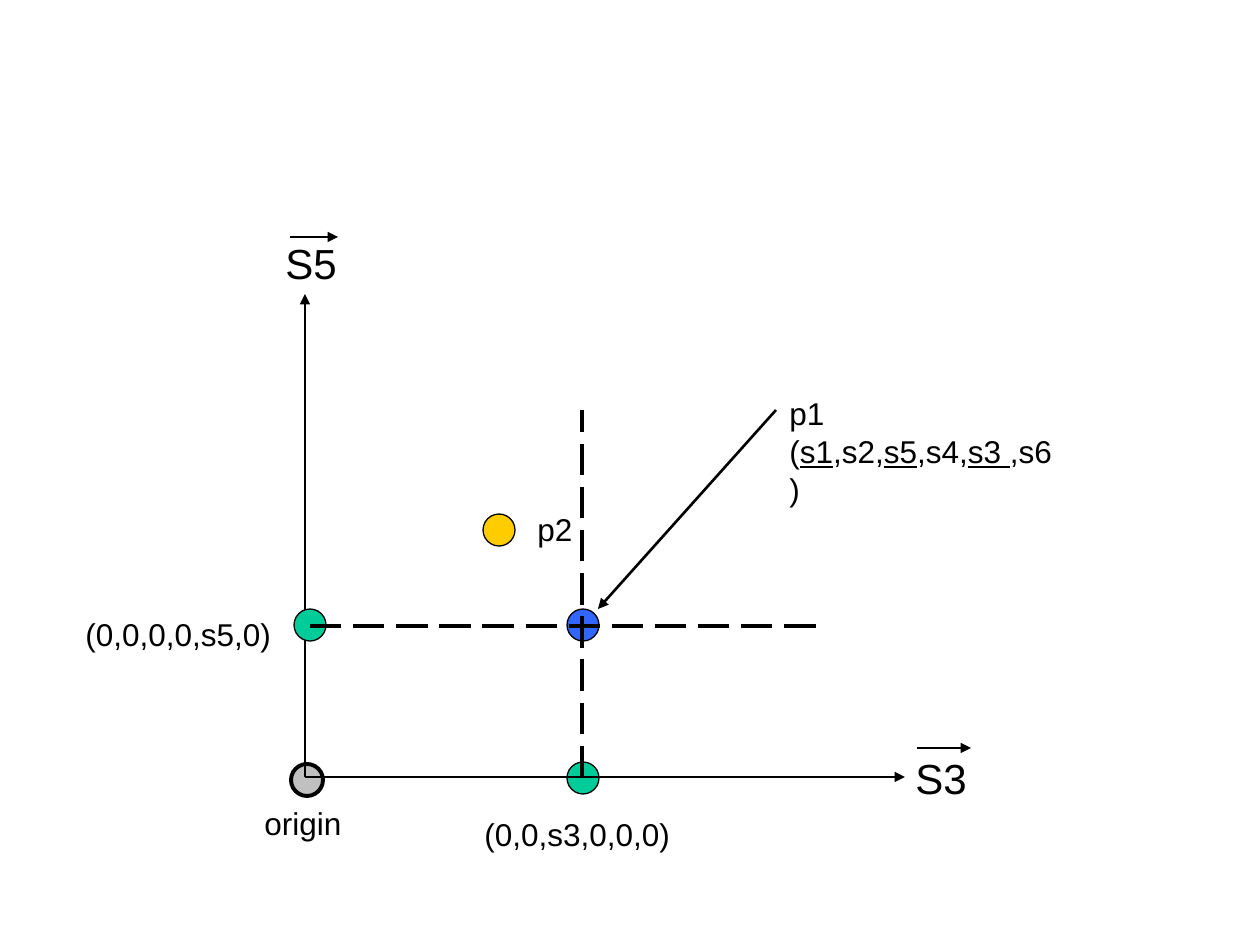
from lxml import etree
from pptx import Presentation
from pptx.dml.color import RGBColor
from pptx.enum.dml import MSO_LINE
from pptx.enum.shapes import MSO_CONNECTOR, MSO_SHAPE
from pptx.enum.text import MSO_AUTO_SIZE
from pptx.oxml.ns import qn
from pptx.util import Emu, Pt

OVAL = MSO_SHAPE.OVAL
STRAIGHT = MSO_CONNECTOR.STRAIGHT
DASH = MSO_LINE.LONG_DASH
FIT = MSO_AUTO_SIZE.SHAPE_TO_FIT_TEXT

BLACK = RGBColor(0x00, 0x00, 0x00)
GREEN = RGBColor(0x00, 0xCC, 0x99)
BLUE = RGBColor(0x33, 0x66, 0xFF)
YELLOW = RGBColor(0xFF, 0xCC, 0x00)
GREY = RGBColor(0xC0, 0xC0, 0xC0)

SCALE = 914400 / 126
DOT = 32
AXIS_X, AXIS_Y = 305, 777


def px(n):
    return Emu(round(n * SCALE))


def add_dot(shapes, x, y, color, weight=0.75):
    dot = shapes.add_shape(OVAL, px(x), px(y), px(DOT), px(DOT))
    dot.shadow.inherit = False
    dot.fill.solid()
    dot.fill.fore_color.rgb = color
    dot.line.color.rgb = BLACK
    dot.line.width = Pt(weight)


def add_label(shapes, text, x, y, w, h, size=18):
    """Add a text box; parts between underscores are underlined."""
    frame = shapes.add_textbox(px(x), px(y), px(w), px(h)).text_frame
    frame.word_wrap = True
    frame.auto_size = FIT
    para = frame.paragraphs[0]
    para.space_before = Pt(size * 0.625)
    for i, part in enumerate(text.split("_")):
        run = para.add_run()
        run.text = part
        run.font.color.rgb = BLACK
        style = {"name": "Arial", "size": Pt(size), "underline": i % 2 == 1}
        for key, value in style.items():
            setattr(run.font, key, value)


def add_line(shapes, start, end, weight, dash=None, arrow=True):
    line = shapes.add_connector(STRAIGHT, *map(px, start + end))
    line.line.color.rgb = BLACK
    line.line.width = Pt(weight)
    if dash:
        line.line.dash_style = dash
    props = line._element.spPr
    if arrow:
        tip = etree.SubElement(props.find(qn("a:ln")), qn("a:tailEnd"))
        tip.set("type", "triangle")
    etree.SubElement(props, qn("a:effectLst"))


def add_vector(slide, name, box, start, end):
    """Group an axis name with the arrow above it."""
    group = slide.shapes.add_group_shape().shapes
    add_label(group, name, *box, size=24)
    add_line(group, start, end, 1.5)


def main():
    prs = Presentation()
    prs.slide_width, prs.slide_height = px(1260), px(945)
    slide = prs.slides.add_slide(prs.slide_layouts[6])
    shapes = slide.shapes

    add_dot(shapes, 567, 762, GREEN)
    add_dot(shapes, 567, 609, BLUE)
    pair = shapes.add_group_shape().shapes
    add_dot(pair, 483, 514, YELLOW)
    add_label(pair, "p2", 525, 504, 73, 50)

    add_label(shapes, "(0,0,s3,0,0,0)", 472, 809, 262, 50)
    add_label(shapes, "p1 (_s1_,s2,_s5_,s4,_s3 _,s6 )", 777, 388, 305, 126)
    add_label(shapes, "(0,0,0,0,s5,0)", 73, 609, 220, 50)

    add_dot(shapes, 291, 764, GREY, 2.25)
    add_line(shapes, (AXIS_X, AXIS_Y), (905, AXIS_Y), 0.75)
    add_line(shapes, (AXIS_X, AXIS_Y), (AXIS_X, 294), 0.75)
    add_vector(slide, "S3", (903, 746, 94, 63), (917, 748), (971, 748))
    add_vector(slide, "S5", (273, 231, 84, 63), (290, 237), (338, 237))

    add_dot(shapes, 294, 609, GREEN)
    add_line(shapes, (310, 626), (824, 626), 2.25, DASH, arrow=False)
    add_line(shapes, (582, AXIS_Y), (582, 410), 2.25, DASH, arrow=False)
    add_line(shapes, (776, 410), (598, 609), 1.5)
    add_label(shapes, "origin", 252, 798, 105, 50)

    prs.save("out.pptx")


if __name__ == "__main__":
    main()
